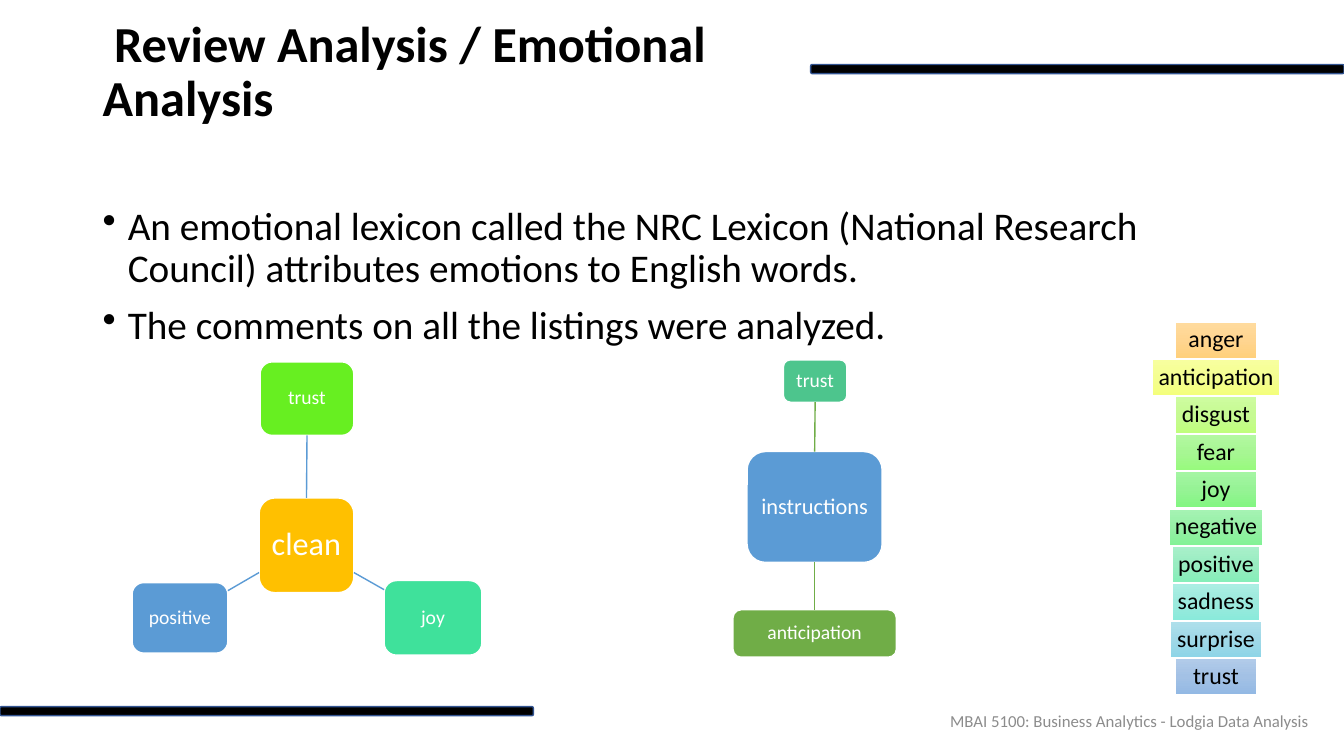
import copy

import lxml.etree
import pptx
import pptx.dml.color
import pptx.enum.shapes
import pptx.enum.text
import pptx.oxml.ns
import pptx.util

Inches = pptx.util.Inches
Pt = pptx.util.Pt
SHAPES = pptx.enum.shapes.MSO_SHAPE
ALIGN = pptx.enum.text.PP_ALIGN
ANCHOR = pptx.enum.text.MSO_ANCHOR
TOP, BOTTOM = 0, 2

COLORS = {
    "black": "000000", "white": "FFFFFF", "grey": "8C8C8C", "navy": "325491",
    "amber": "FFC000", "lime": "67EF21", "mint": "3FE19B", "blue": "5B9BD5",
    "teal": "4DC58D", "green": "70AD47",
}

EMOTIONS = [
    ("anger", 0.79, ("FFDB9E", "FFD590", "FFD07C")),
    ("anticipation", 1.25, ("F7FF9F", "F4FE91", "F4FF7C")),
    ("disgust", 0.79, ("CEFCA0", "C6FA92", "C0FE7D")),
    ("fear", 0.79, ("B3F8A1", "A7F693", "98FA7E")),
    ("joy", 0.79, ("A4F5A3", "96F395", "82F681")),
    ("negative", 0.91, ("A5F3B3", "97EFA6", "83F296")),
    ("positive", 0.86, ("A8F0CA", "99ECC1", "86EEB9")),
    ("sadness", 0.86, ("ABEEE3", "9CEADD", "8AEADB")),
    ("surprise", 0.89, ("AEDFEB", "A0D8E7", "8ED5E7")),
    ("trust", 0.79, ("B1CBE9", "A3C1E5", "93B9E4")),
]


def rgb(value):
    return pptx.dml.color.RGBColor.from_string(value)


def write(frame, *paragraphs, size, color="black", bold=False, align=ALIGN.LEFT,
          anchor=ANCHOR.MIDDLE, wrap=True, spacing=0.9, before=0, bullet=None, inset=None):
    frame.word_wrap = wrap
    frame.vertical_anchor = anchor
    if inset is not None:
        frame.margin_left = frame.margin_right = Inches(inset)
        frame.margin_top = frame.margin_bottom = Inches(inset)
    for index, text in enumerate(paragraphs):
        paragraph = frame.add_paragraph() if index else frame.paragraphs[0]
        paragraph.alignment = align
        paragraph.line_spacing = spacing
        paragraph.space_before = Pt(before)
        run = paragraph.add_run()
        run.text = text
        run.font.name = "Calibri"
        run.font.size = Pt(size)
        run.font.bold = bold
        run.font.color.rgb = rgb(COLORS[color])
        if bullet:
            properties = paragraph._p.get_or_add_pPr()
            properties.set("marL", str(Inches(0.25)))
            properties.set("indent", str(-Inches(0.25)))
            mark = lxml.etree.SubElement(properties, pptx.oxml.ns.qn("a:buChar"))
            mark.set("char", bullet)


class ReviewSlide:
    def __init__(self, slide):
        self.shapes = slide.shapes

    def text(self, box, *paragraphs, **style):
        frame = self.shapes.add_textbox(*map(Inches, box)).text_frame
        write(frame, *paragraphs, **style)

    def block(self, kind, box):
        block = self.shapes.add_shape(kind, *map(Inches, box))
        block.shadow.inherit = False
        return block

    def rounded(self, box, fill, line):
        block = self.block(SHAPES.ROUNDED_RECTANGLE, box)
        block.fill.solid()
        block.fill.fore_color.rgb = rgb(COLORS[fill])
        block.line.color.rgb = rgb(COLORS[line])
        block.line.width = Pt(1)
        return block

    def node(self, word, box, fill, size=14):
        node = self.rounded(box, fill, "white")
        write(node.text_frame, word, size=size, color="white",
              align=ALIGN.CENTER, wrap=False, inset=0.06)
        return node

    def link(self, start, end, color):
        link = self.shapes.add_connector(
            pptx.enum.shapes.MSO_CONNECTOR.STRAIGHT, *map(Inches, start + end))
        link.line.color.rgb = rgb(COLORS[color])
        link.line.width = Pt(1)
        lxml.etree.SubElement(link._element.spPr, pptx.oxml.ns.qn("a:effectLst"))
        return link

    def join(self, upper, lower, color):
        link = self.link((0, 0), (0, 0), color)
        link.begin_connect(upper, BOTTOM)
        link.end_connect(lower, TOP)

    def emotion(self, word, box, shades):
        tile = self.block(SHAPES.RECTANGLE, box)
        tile.line.fill.background()
        tile.fill.gradient()
        tile.fill.gradient_angle = 270
        first = tile._element.spPr.find(".//" + pptx.oxml.ns.qn("a:gs"))
        first.addnext(copy.deepcopy(first))
        for index, (stop, shade) in enumerate(zip(tile.fill.gradient_stops, shades)):
            stop.position = index / 2
            stop.color.rgb = rgb(shade)
        write(tile.text_frame, word, size=17, align=ALIGN.CENTER, wrap=False, inset=0.05)


def main():
    deck = pptx.Presentation()
    deck.slide_width, deck.slide_height = Inches(13.33), Inches(7.5)
    page = ReviewSlide(deck.slides.add_slide(deck.slide_layouts[6]))

    page.text((0.92, 2, 11.5, 4.76),
              "An emotional lexicon called the NRC Lexicon (National Research Council) "
              "attributes emotions to English words.",
              "The comments on all the listings were analyzed.",
              size=28, anchor=ANCHOR.TOP, before=10, bullet="•")
    page.text((8.58, 6.95, 4.5, 0.4),
              "MBAI 5100: Business Analytics - Lodgia Data Analysis",
              size=12, color="grey", align=ALIGN.RIGHT, spacing=1)

    clean = page.node("clean", (2.57, 4.94, 0.94, 0.94), "amber", 23)
    clean_trust = page.node("trust", (2.58, 3.59, 0.93, 0.73), "lime")
    page.node("joy", (3.81, 5.76, 0.97, 0.74), "mint")
    page.node("positive", (1.31, 5.78, 0.95, 0.7), "blue")
    page.join(clean_trust, clean, "blue")
    page.link((3.51, 5.68), (3.81, 5.85), "blue")
    page.link((2.57, 5.68), (2.26, 5.86), "blue")

    instructions = page.node("instructions", (7.41, 4.48, 1.34, 1.1), "blue", 16)
    instructions_trust = page.node("trust", (7.77, 3.57, 0.63, 0.42), "teal")
    anticipation = page.node("anticipation", (7.27, 6.05, 1.62, 0.47), "green")
    page.join(instructions_trust, instructions, "green")
    page.join(instructions, anticipation, "green")

    list_center, list_top, list_step = 12.06, 3.2, 0.371
    for row, (word, width, shades) in enumerate(EMOTIONS):
        box = (list_center - width / 2, list_top + row * list_step, width, 0.35)
        page.emotion(word, box, shades)

    page.text((0.92, 0, 6.62, 1.45), " Review Analysis / Emotional Analysis",
              size=36, bold=True)
    for left, top in ((0, 7.01), (8.04, 0.64)):
        page.rounded((left, top, 5.29, 0.09), "black", "navy")

    deck.save("out.pptx")


if __name__ == "__main__":
    main()
